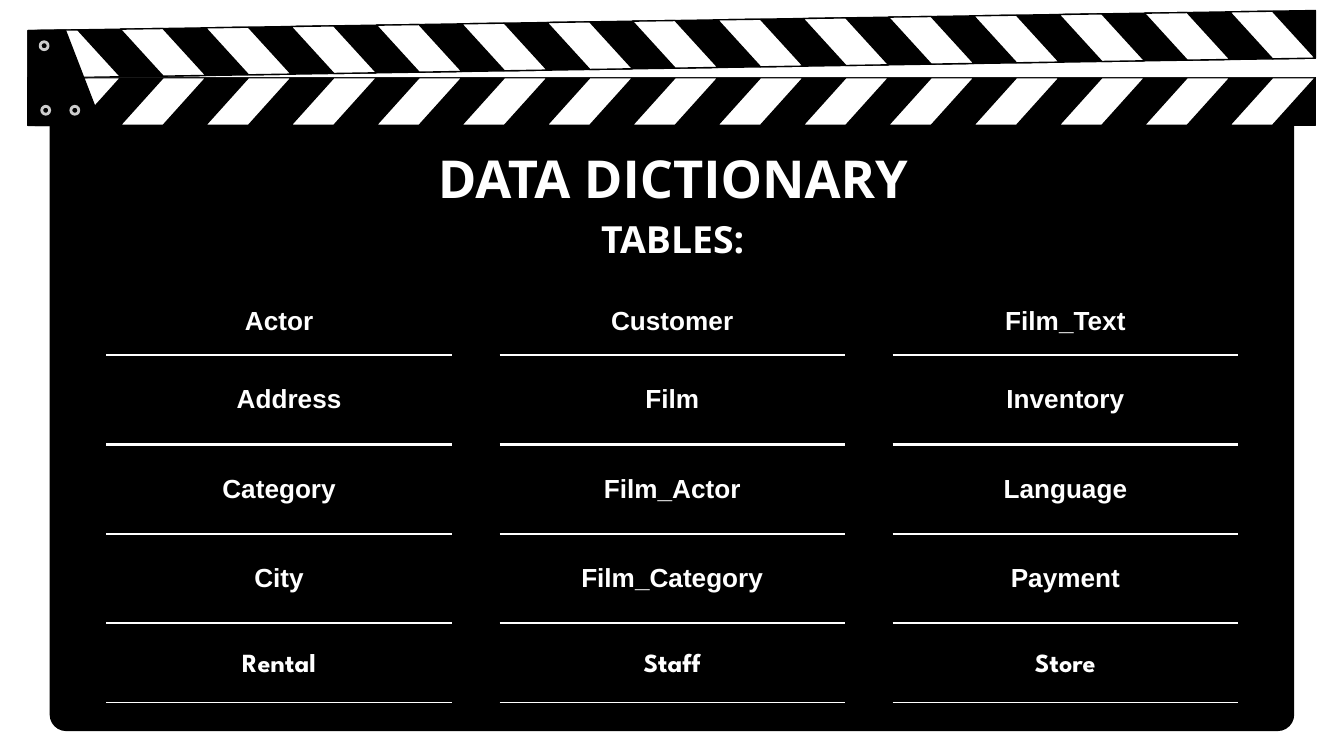
from lxml import etree
from pptx import Presentation
from pptx import util as u
from pptx.dml import color
from pptx.enum import shapes, text
from pptx.oxml import ns

Cm, Pt = u.Cm, u.Pt
HUES = {"ink": "000000", "chalk": "FFFFFF", "seam": "171717", "bolt": "CCCCCC"}
PLAIN = "{2D5ABB26-0587-4C30-8999-92F81FD0307C}"
COLS = [
    ["Actor", "Address", "Category", "City"],
    ["Customer", "Film", "Film_Actor", "Film_Category"],
    ["Film_Text", "Inventory", "Language", "Payment"],
]
EXTRAS = [("Rental", 2.77), ("Staff", 2.18), ("Store", 2.59)]


def rgb(hue):
    """Return the colour with the given name."""
    return color.RGBColor.from_string(HUES[hue])


def assign(item, **values):
    """Set each named attribute of an item."""
    for name, value in values.items():
        setattr(item, name, value)


def paint(shape, fill, line=None, width=0.75):
    """Give a shape its fill and outline, without shadow."""
    shape.shadow.inherit = False
    shape.fill.solid()
    shape.fill.fore_color.rgb = rgb(fill)
    if line:
        shape.line.color.rgb = rgb(line)
        shape.line.width = Pt(width)
    else:
        shape.line.fill.background()


def outline(slide, points, fill):
    """Draw a closed polygon through points in centimetres."""
    first, *rest = [(Cm(x), Cm(y)) for x, y in points]
    form = slide.shapes.build_freeform(*first, scale=1.0)
    form.add_line_segments(rest, close=True)
    paint(form.convert_to_shape(), fill, "ink")


def rule(slide, left, top, width, hue, weight):
    """Draw a level line."""
    line = slide.shapes.add_connector(
        shapes.MSO_CONNECTOR.STRAIGHT, Cm(left), Cm(top), Cm(left + width), Cm(top))
    line.line.color.rgb = rgb(hue)
    line.line.width = Pt(weight)
    etree.SubElement(line._element.spPr, ns.qn("a:effectLst"))


def write(frame, words, face, size):
    """Write one centred bold line in a text frame."""
    para = frame.paragraphs[0]
    para.alignment = text.PP_ALIGN.CENTER
    run = para.add_run()
    run.text = words
    assign(run.font, name=face, size=Pt(size), bold=True)
    run.font.color.rgb = rgb("chalk")


def label(slide, box, words, face, size, **form):
    """Place a text box in the given box."""
    frame = slide.shapes.add_textbox(*map(Cm, box)).text_frame
    assign(frame, word_wrap=True, **form)
    write(frame, words, face, size)


def stick(slide, box, rise, head, foot):
    """Draw a striped bar that climbs by rise from left to right."""
    left, top, width, height = box

    def spot(x, down):
        return left + x, top + down - rise * x / width

    outline(slide, [spot(0, 0), spot(width, 0),
                    spot(width, height), spot(0, height)], "ink")
    half, start, count = 0.81, 0.13, 15
    step = (width - start - 2 * half) / (count - 1)
    for i in range(count):
        x = start + i * step
        up, low = x + head * half, x + foot * half
        outline(slide, [spot(up, 0), spot(low, height),
                        spot(low + half, height), spot(up + half, 0)], "chalk")


def clapper(slide, left, top, width):
    """Draw the two sticks, the hinge and its bolts."""
    seam, high = top + 0.89, 0.9
    stick(slide, (left, seam, width, high), 0, 1, 0)
    stick(slide, (left, top, width, high), 0.38, 0, 1)
    rule(slide, left, seam, width, "seam", 0.48)
    base = seam + high
    outline(slide, [(left, top), (left, base),
                    (left + 1.4, base), (left + 0.71, top)], "ink")
    for x, y in [(0.23, 0.21), (0.26, 1.43), (0.81, 1.43)]:
        bolt = slide.shapes.add_shape(
            shapes.MSO_SHAPE.OVAL, Cm(left + x), Cm(top + y), Cm(0.15), Cm(0.15))
        paint(bolt, "ink", "bolt", 1.5)


def board(slide, box):
    """Draw the rounded board."""
    slab = slide.shapes.add_shape(
        shapes.MSO_SHAPE.ROUNDED_RECTANGLE, *map(Cm, box))
    slab.adjustments[0] = 0.026
    paint(slab, "ink")


def under(cell):
    """Give a cell a bottom border."""
    edge = etree.Element(ns.qn("a:lnB"), w=str(Pt(1.5)))
    fill = etree.SubElement(edge, ns.qn("a:solidFill"))
    etree.SubElement(fill, ns.qn("a:srgbClr"), val=HUES["chalk"])
    cell._tc.get_or_add_tcPr().insert(0, edge)


def column(slide, left, top, width, names):
    """Build one table of names with a line below each."""
    first, other = 1.27, 1.69
    high = first + other * (len(names) - 1)
    table = slide.shapes.add_table(
        len(names), 1, Cm(left), Cm(top), Cm(width), Cm(high)).table
    assign(table, first_row=False, horz_banding=False)
    table._tbl.tblPr.find(ns.qn("a:tableStyleId")).text = PLAIN
    pad = Cm(0.25)
    for i, name in enumerate(names):
        table.rows[i].height = Cm(other if i else first)
        cell = table.cell(i, 0)
        assign(cell, margin_left=pad, margin_right=pad, margin_top=pad,
               margin_bottom=pad, vertical_anchor=text.MSO_ANCHOR.MIDDLE)
        write(cell.text_frame, name, "Arial", 14)
        cell.fill.background()
        under(cell)
        if name == "Address":
            props = cell.text_frame.paragraphs[0]._p.get_or_add_pPr()
            props.set("marL", str(Cm(0.38)))
            props.set("indent", "0")


def lists(slide, left, top, width, pitch):
    """Place the tables and the last line of names below them."""
    for i, (names, (extra, wide)) in enumerate(zip(COLS, EXTRAS)):
        x = left + i * pitch
        column(slide, x, top, width, names)
        rule(slide, x, top + 7.84, width, "chalk", 0.75)
        label(slide, (x + (width - wide) / 2, top + 6.65, wide, 0.86),
              extra, "League Spartan", 14)


def heads(slide, left, top, width):
    """Place the title and subtitle."""
    pad = Cm(0.25)
    form = dict(margin_left=pad, margin_right=pad, margin_top=pad,
                margin_bottom=pad, vertical_anchor=text.MSO_ANCHOR.TOP)
    label(slide, (left, top, width, 1.6), "DATA DICTIONARY", "Open Sans", 28, **form)
    label(slide, (left + 3.65, top + 1.32, width - 7.3, 1.12),
          "TABLES:", "Open Sans", 20, **form)


def main():
    """Build and save the deck."""
    deck = Presentation()
    assign(deck, slide_width=Cm(25.4), slide_height=Cm(14.29))
    slide = deck.slides.add_slide(deck.slide_layouts[6])
    board(slide, (0.94, 1.83, 23.52, 11.99))
    clapper(slide, 0.53, 0.58, 24.33)
    heads(slide, 2.01, 2.51, 21.41)
    lists(slide, 2.01, 5.44, 6.53, 7.43)
    deck.save("out.pptx")


main()
